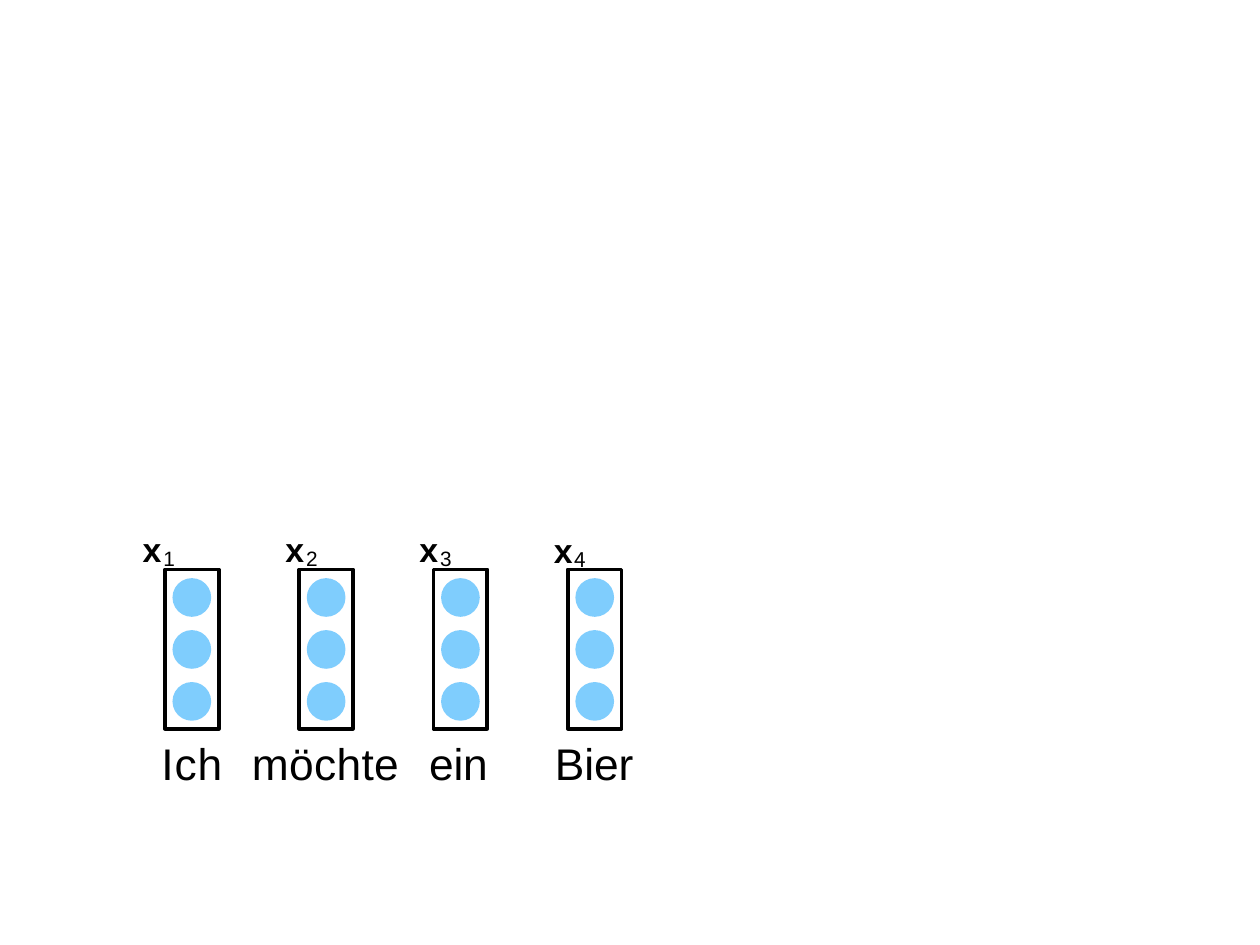
from dataclasses import dataclass

from lxml import etree
from pptx import Presentation
from pptx.dml.color import RGBColor
from pptx.enum.shapes import MSO_SHAPE
from pptx.enum.text import MSO_AUTO_SIZE
from pptx.oxml.ns import qn
from pptx.util import Cm, Pt

RECTANGLE = MSO_SHAPE.RECTANGLE
OVAL = MSO_SHAPE.OVAL
FIT_SHAPE = MSO_AUTO_SIZE.SHAPE_TO_FIT_TEXT

BLANK_LAYOUT = 6


@dataclass(frozen=True)
class Theme:
    ink: RGBColor = RGBColor(0x00, 0x00, 0x00)
    unit: RGBColor = RGBColor(0x00, 0x9C, 0xFD)
    unit_alpha: int = 50000
    outline: Pt = Pt(3)
    font: str = "Arial"
    digit_font: str = "Noto Sans CJK TC"
    word_size: Pt = Pt(36)
    word_leading: Pt = Pt(35.9)
    symbol_size: Pt = Pt(27.5)
    index_size: Pt = Pt(29.2)


THEME = Theme()

FRAME_LEFT, FRAME_TOP = 4.73, 16.33
FRAME_WIDTH, FRAME_HEIGHT = 1.54, 4.57
FRAME_PITCH = 3.85
UNIT_COUNT = 3
UNIT_SIZE = 1.11
UNIT_TOP, UNIT_PITCH = 16.58, 1.49
SYMBOL_WIDTH, SYMBOL_HEIGHT = 1.07, 1.24
WORD_TOP, WORD_HEIGHT = 21.36, 1.35


@dataclass(frozen=True)
class Token:
    """One input word with its vector x and index; lengths in cm."""
    word: str
    word_left: float
    word_width: float
    word_tracking: int
    symbol_left: float
    symbol_top: float
    index_font: str = THEME.font
    index_tracking: int = 40


TOKENS = (
    Token("Ich", 4.6, 1.83, 70, 4.06, 15.01),
    Token("möchte", 7.19, 4.32, 30, 8.15, 15.01),
    Token("ein", 12.27, 1.78, -10, 11.99, 14.99),
    Token("Bier", 15.88, 2.34, -10, 15.85, 15.04, THEME.digit_font, 290),
)


def add_plain_shape(slide, kind, left: float, top: float, width: float, height: float):
    shape = slide.shapes.add_shape(kind, Cm(left), Cm(top), Cm(width), Cm(height))
    shape.shadow.inherit = False
    return shape


def add_frame(slide, left: float) -> None:
    frame = add_plain_shape(slide, RECTANGLE, left, FRAME_TOP, FRAME_WIDTH, FRAME_HEIGHT)
    frame.fill.background()
    frame.line.color.rgb = THEME.ink
    frame.line.width = THEME.outline


def add_unit(slide, left: float, top: float) -> None:
    unit = add_plain_shape(slide, OVAL, left, top, UNIT_SIZE, UNIT_SIZE)
    unit.fill.solid()
    unit.fill.fore_color.rgb = THEME.unit
    color = unit.fill._xPr.find(qn("a:solidFill")).find(qn("a:srgbClr"))
    etree.SubElement(color, qn("a:alpha")).set("val", str(THEME.unit_alpha))
    unit.line.fill.background()


def add_vector(slide, left: float) -> None:
    """Draw a frame with its column of units."""
    add_frame(slide, left)
    for row in range(UNIT_COUNT):
        add_unit(slide, left + (FRAME_WIDTH - UNIT_SIZE) / 2, UNIT_TOP + row * UNIT_PITCH)


def add_text_line(slide, left: float, top: float, width: float, height: float,
                  inset_top: float = 0):
    """Add a text box and return its only paragraph."""
    box = slide.shapes.add_textbox(Cm(left), Cm(top), Cm(width), Cm(height))
    frame_format = {
        "word_wrap": True,
        "auto_size": FIT_SHAPE,
        "margin_left": Cm(0.03),
        "margin_top": Cm(inset_top),
        "margin_right": 0,
        "margin_bottom": 0,
    }
    for name, value in frame_format.items():
        setattr(box.text_frame, name, value)
    return box.text_frame.paragraphs[0]


def add_run(paragraph, text: str, font_format: dict, tracking: int, baseline: int = 0) -> None:
    run = paragraph.add_run()
    run.text = text
    for name, value in font_format.items():
        setattr(run.font, name, value)
    run.font.color.rgb = THEME.ink
    properties = run._r.get_or_add_rPr()
    properties.set("spc", str(tracking))
    if baseline:
        properties.set("baseline", str(baseline))


def add_word(slide, token: Token) -> None:
    line = add_text_line(slide, token.word_left, WORD_TOP, token.word_width, WORD_HEIGHT)
    line.line_spacing = THEME.word_leading
    add_run(line, token.word, {"name": THEME.font, "size": THEME.word_size},
            token.word_tracking)


def add_symbol(slide, token: Token, index: int) -> None:
    line = add_text_line(slide, token.symbol_left, token.symbol_top,
                         SYMBOL_WIDTH, SYMBOL_HEIGHT, inset_top=0.1)
    add_run(line, "x", {"name": THEME.font, "size": THEME.symbol_size, "bold": True}, 160)
    add_run(line, str(index),
            {"name": token.index_font, "size": THEME.index_size, "bold": False},
            token.index_tracking, baseline=-11000)


def main() -> None:
    presentation = Presentation()
    presentation.slide_width = Cm(36.12)
    presentation.slide_height = Cm(27.1)
    slide = presentation.slides.add_slide(presentation.slide_layouts[BLANK_LAYOUT])
    for column, token in enumerate(TOKENS):
        add_vector(slide, FRAME_LEFT + column * FRAME_PITCH)
        add_word(slide, token)
        add_symbol(slide, token, column + 1)
    presentation.save("out.pptx")


if __name__ == "__main__":
    main()
